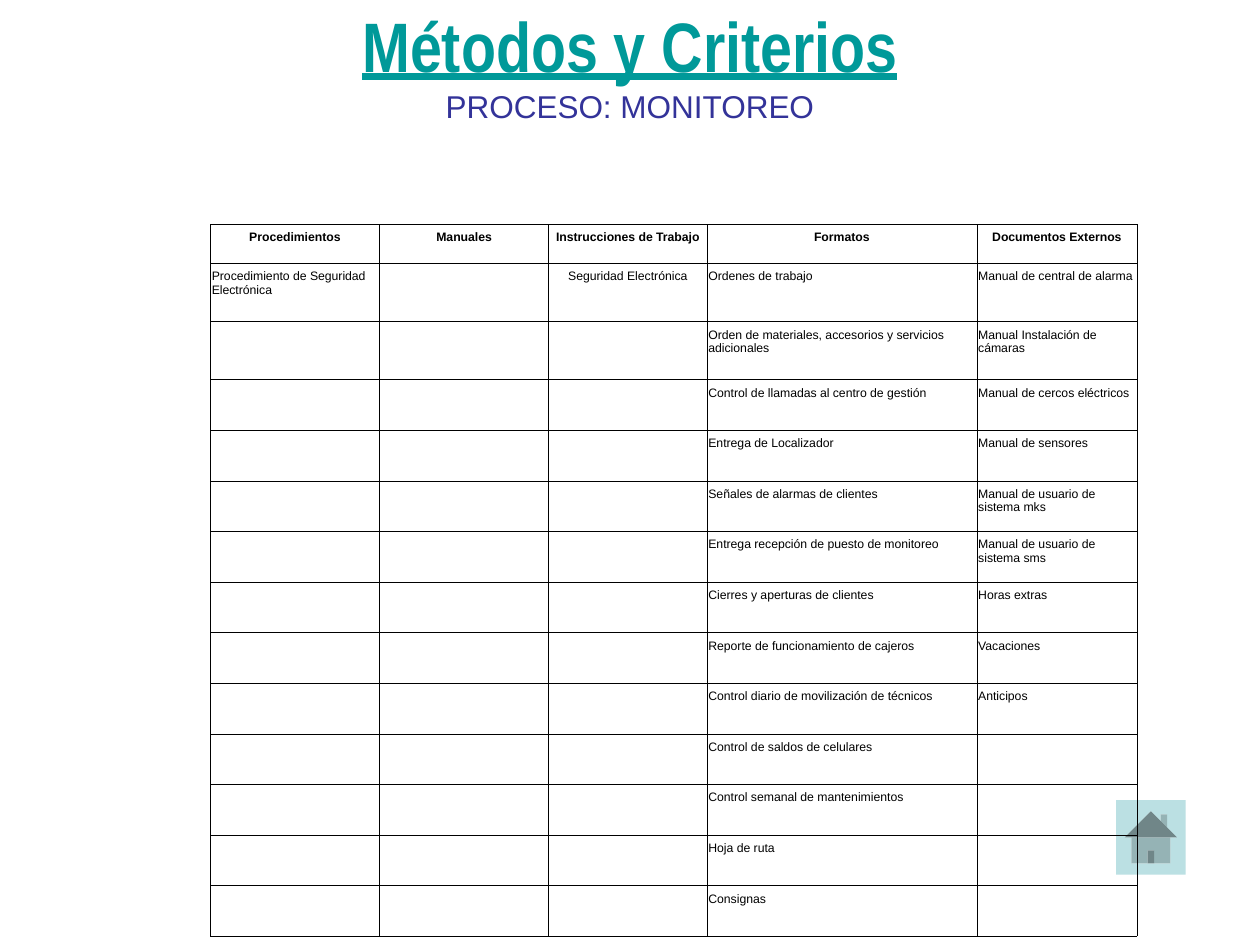
from dataclasses import dataclass

from lxml import etree
from pptx import Presentation
from pptx.dml.color import RGBColor
from pptx.enum.shapes import MSO_SHAPE
from pptx.enum.text import MSO_ANCHOR, PP_ALIGN
from pptx.oxml.ns import qn
from pptx.util import Cm, Pt

HOME = MSO_SHAPE.ACTION_BUTTON_HOME
BOTTOM = MSO_ANCHOR.BOTTOM
LEFT, CENTER = PP_ALIGN.LEFT, PP_ALIGN.CENTER


@dataclass(frozen=True)
class Theme:
    title: str = "009999"
    process: str = "333399"
    ink: str = "000000"
    button: str = "BBE0E3"
    title_font: str = "Arial Narrow"
    body_font: str = "Arial"
    title_size: int = 40
    process_size: int = 18
    cell_size: int = 7
    border: float = 0.25


THEME = Theme()

HEADERS = ["Procedimientos", "Manuales", "Instrucciones de Trabajo",
           "Formatos", "Documentos Externos"]
PROCEDURES = ["Procedimiento de Seguridad Electrónica"]
MANUALS = []
INSTRUCTIONS = ["Seguridad Electrónica"]
FORMS = [
    "Ordenes de trabajo",
    "Orden de materiales, accesorios y servicios adicionales",
    "Control de llamadas al centro de gestión",
    "Entrega de Localizador",
    "Señales de alarmas de clientes",
    "Entrega recepción de puesto de monitoreo",
    "Cierres y aperturas de clientes",
    "Reporte de funcionamiento de cajeros",
    "Control diario de movilización de técnicos",
    "Control de saldos de celulares",
    "Control semanal de mantenimientos",
    "Hoja de ruta",
    "Consignas",
]
EXTERNAL = [
    "Manual de central de alarma",
    "Manual Instalación de cámaras",
    "Manual de cercos eléctricos",
    "Manual de sensores",
    "Manual de usuario de sistema mks",
    "Manual de usuario de sistema sms",
    "Horas extras",
    "Vacaciones",
    "Anticipos",
]
COLUMNS = [PROCEDURES, MANUALS, INSTRUCTIONS, FORMS, EXTERNAL]
INSTRUCTION_COL = COLUMNS.index(INSTRUCTIONS)
COL_WIDTHS = [3.41, 3.41, 3.19, 5.44, 3.23]
ROW_HEIGHTS = [0.79] + [1.17] * 2 + [1.02] * (len(FORMS) - 2)


def style_font(font, name, size, color, bold=False, underline=False):
    font.name, font.size = name, Pt(size)
    font.bold, font.underline = bold, underline
    font.color.rgb = RGBColor.from_string(color)


def add_home_button(slide, left, top, width, height):
    sp = slide.shapes.add_shape(HOME, Cm(left), Cm(top), Cm(width), Cm(height))
    sp.shadow.inherit = False
    sp.fill.solid()
    sp.fill.fore_color.rgb = RGBColor.from_string(THEME.button)
    sp.line.fill.background()


def add_title(slide, left, top, width, height):
    box = slide.shapes.add_textbox(Cm(left), Cm(top), Cm(width), Cm(height))
    tf = box.text_frame
    tf.word_wrap = True
    tf.vertical_anchor = BOTTOM
    p = tf.paragraphs[0]
    p.alignment = CENTER
    r = p.add_run()
    r.text = "Métodos y Criterios"
    style_font(r.font, THEME.title_font, THEME.title_size, THEME.title, True, True)
    p.add_line_break()
    r = p.add_run()
    r.text = "PROCESO: MONITOREO"
    style_font(r.font, THEME.body_font, THEME.process_size, THEME.process)


def set_borders(cell):
    tc_pr = cell._tc.get_or_add_tcPr()
    # Border lines come before the fill in the cell properties
    for i, side in enumerate(("lnL", "lnR", "lnT", "lnB")):
        ln = etree.Element(qn(f"a:{side}"), w=str(Pt(THEME.border)))
        fill = etree.SubElement(ln, qn("a:solidFill"))
        etree.SubElement(fill, qn("a:srgbClr"), val=THEME.ink)
        tc_pr.insert(i, ln)


def fill_cell(cell, text, align, bold):
    cell.margin_left = cell.margin_right = Cm(0.03)
    cell.margin_top = cell.margin_bottom = Cm(0.13)
    cell.fill.background()
    set_borders(cell)
    p = cell.text_frame.paragraphs[0]
    p.alignment = align
    style_font(p.font, THEME.body_font, THEME.cell_size, THEME.ink, bold)
    if text:
        p.add_run().text = text


def add_documents_table(slide, left, top):
    frame = slide.shapes.add_table(
        len(ROW_HEIGHTS), len(COL_WIDTHS), Cm(left), Cm(top),
        Cm(sum(COL_WIDTHS)), Cm(sum(ROW_HEIGHTS)))
    table = frame.table
    table.first_row = table.horz_banding = False
    for row, height in zip(table.rows, ROW_HEIGHTS):
        row.height = Cm(height)
    for c, (header, items) in enumerate(zip(HEADERS, COLUMNS)):
        table.columns[c].width = Cm(COL_WIDTHS[c])
        fill_cell(table.cell(0, c), header, CENTER, True)
        align = CENTER if c == INSTRUCTION_COL else LEFT
        for r in range(1, len(ROW_HEIGHTS)):
            text = items[r - 1] if r <= len(items) else ""
            fill_cell(table.cell(r, c), text, align, False)


def main():
    prs = Presentation()
    prs.slide_width, prs.slide_height = Cm(25.4), Cm(19.05)
    slide = prs.slides.add_slide(prs.slide_layouts[6])
    # The button lies behind the table
    add_home_button(slide, 22.5, 16.13, 1.4, 1.5)
    add_title(slide, 0.5, 0.99, 24.4, 1.65)
    add_documents_table(slide, 4.24, 4.52)
    prs.save("out.pptx")


if __name__ == "__main__":
    main()
